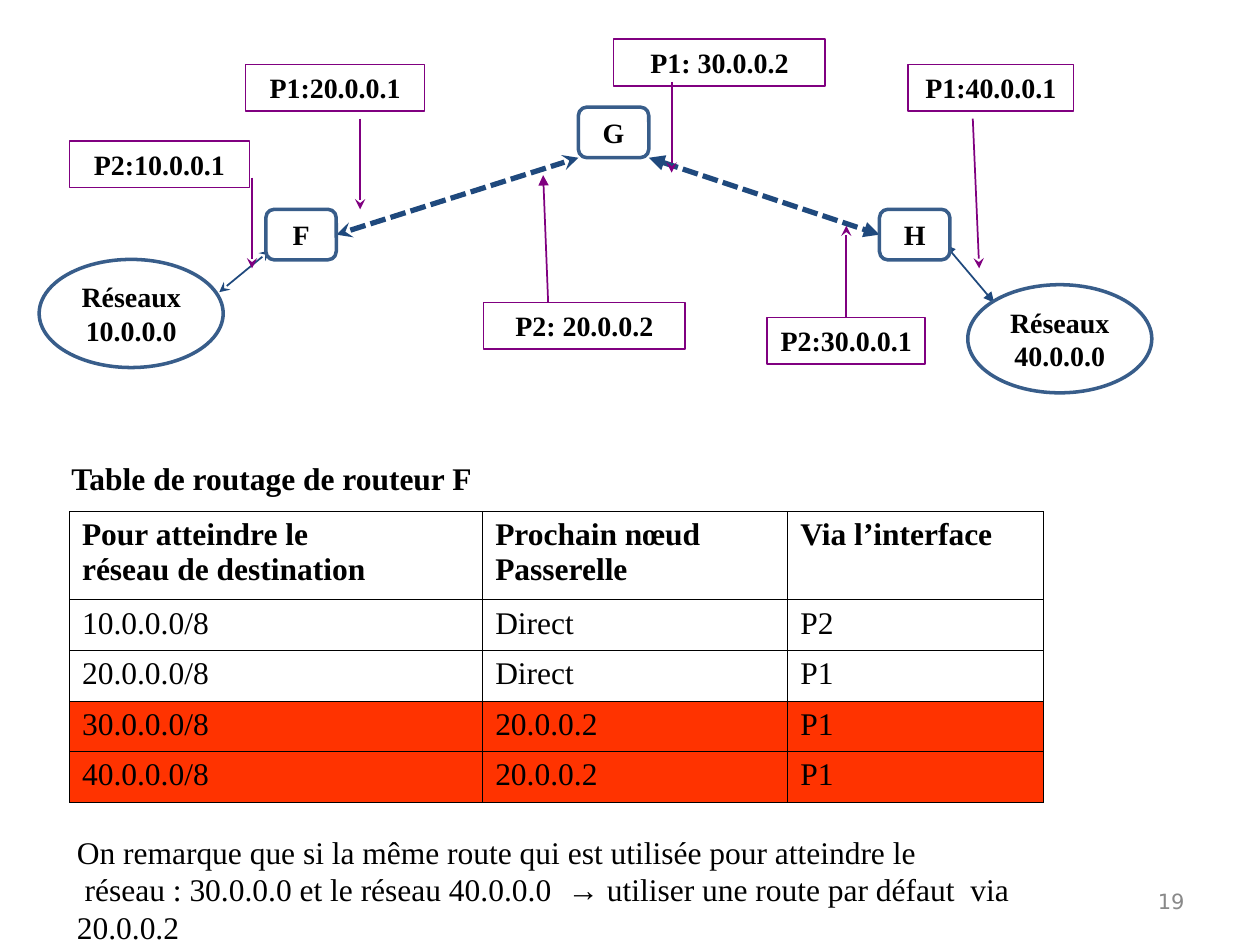
from lxml.etree import SubElement
from pptx import Presentation
from pptx.dml.color import RGBColor
from pptx.enum.dml import MSO_LINE
from pptx.enum.shapes import MSO_CONNECTOR, MSO_SHAPE
from pptx.enum.text import MSO_ANCHOR, MSO_AUTO_SIZE, PP_ALIGN
from pptx.oxml.ns import qn
from pptx.util import Cm, Pt

SERIF = "Times New Roman"
BLACK, WHITE, RED = "000000", "FFFFFF", "FF3300"
NAVY, STEEL, PURPLE, GREY = "1F497D", "385D8A", "800080", "898989"
PLAIN = {"name": SERIF, "size": Pt(18), "bold": False}
HEADING = {**PLAIN, "bold": True}
LABEL = {**HEADING, "size": Pt(16)}
NUMBER = {"name": "DejaVu Sans", "size": Pt(12), "bold": False}

NETWORKS = [("Réseaux 10.0.0.0", 0.79, 5.23), ("Réseaux 40.0.0.0", 19.51, 5.74)]
ROUTERS = [("F", 5.36, 4.22), ("G", 11.66, 2.16), ("H", 17.73, 4.22)]
INTERFACES = [
    ("P2:10.0.0.1", 1.4, 2.84, 3.63),
    ("P2: 20.0.0.2", 9.75, 6.1, 4.06),
    ("P2:30.0.0.1", 15.47, 6.4, 3.18),
    ("P1:20.0.0.1", 4.95, 1.3, 3.61),
    ("P1:40.0.0.1", 18.31, 1.3, 3.33),
    ("P1: 30.0.0.2", 12.37, 0.79, 4.27),
]
POINTERS = [
    ((11.05, 6.1), (10.95, 3.53), "triangle"),
    ((7.26, 2.39), (7.26, 4.22), "stealth"),
    ((13.54, 1.65), (13.54, 3.48), "stealth"),
    ((19.61, 2.39), (19.74, 5.41), "stealth"),
    ((5.08, 3.58), (5.08, 5.41), "stealth"),
]
ROUTES = [
    ("Pour atteindre le\nréseau de destination", "Prochain nœud Passerelle", "Via l’interface"),
    ("10.0.0.0/8", "Direct", "P2"),
    ("20.0.0.0/8", "Direct", "P1"),
    ("30.0.0.0/8", "20.0.0.2", "P1"),
    ("40.0.0.0/8", "20.0.0.2", "P1"),
]
REMARK = [
    [("On remarque que si la même route qui est utilisée pour atteindre le", SERIF)],
    [
        (" réseau : 30.0.0.0 et le réseau 40.0.0.0  ", SERIF),
        ("→", "Arial"),
        (" utiliser une route par défaut  via 20.0.0.2", SERIF),
    ],
]


def paint(color_format, value):
    """Set a colour from a hex string."""
    color_format.rgb = RGBColor.from_string(value)


def fill_solid(target, value):
    """Give a shape or cell a plain fill."""
    target.fill.solid()
    paint(target.fill.fore_color, value)


def style_font(font, values, color=BLACK):
    """Apply format values and a colour to a font."""
    for name, value in values.items():
        setattr(font, name, value)
    paint(font.color, color)


def write(frame, text, values, color=BLACK, align=PP_ALIGN.LEFT):
    """Write one paragraph per line of text."""
    frame.text = text
    for para in frame.paragraphs:
        para.alignment = align
        for span in para.runs:
            style_font(span.font, values, color)


def add_node(page, kind, text, place, color, width, fill=None):
    """Add an outlined shape with a centred label."""
    node = page.shapes.add_shape(kind, *map(Cm, place))
    node.shadow.inherit = False
    if fill:
        fill_solid(node, fill)
    else:
        node.fill.background()
    paint(node.line.color, color)
    node.line.width = Pt(width)
    frame = node.text_frame
    frame.word_wrap = True
    frame.vertical_anchor = MSO_ANCHOR.MIDDLE if fill else MSO_ANCHOR.TOP
    write(frame, text, LABEL, align=PP_ALIGN.CENTER)
    return node


def add_arrow(page, start, end, color, tip, both=False, width=1, dash=None):
    """Add a straight arrow pointing at its end, or both ways."""
    arrow = page.shapes.add_connector(MSO_CONNECTOR.STRAIGHT, *map(Cm, start + end))
    paint(arrow.line.color, color)
    arrow.line.width = Pt(width)
    if dash:
        arrow.line.dash_style = dash
    outline = arrow.line._get_or_add_ln()
    for tag in ("a:headEnd", "a:tailEnd") if both else ("a:tailEnd",):
        SubElement(outline, qn(tag), type=tip)
    SubElement(arrow._element.spPr, qn("a:effectLst"))
    return arrow


def add_text(page, place):
    """Add an unwrapped text box and return its frame."""
    frame = page.shapes.add_textbox(*map(Cm, place)).text_frame
    frame.word_wrap = False
    return frame


def border_cell(cell):
    """Draw thin black borders around a cell."""
    properties = cell._tc.get_or_add_tcPr()
    for index, side in enumerate(("lnL", "lnR", "lnT", "lnB")):
        edge = properties.makeelement(qn(f"a:{side}"), {"w": str(Pt(0.45))})
        fill = SubElement(edge, qn("a:solidFill"))
        SubElement(fill, qn("a:srgbClr"), val=BLACK)
        properties.insert(index, edge)


def add_routes(page):
    """Add the routing table of router F."""
    widths, heights = (8.33, 6.15, 5.16), (1.78, 1.02, 1.02, 1.02, 1.02)
    table = page.shapes.add_table(
        len(heights), len(widths), *map(Cm, (1.4, 10.31, sum(widths), sum(heights)))
    ).table
    table.first_row = table.horz_banding = False
    for column, width in zip(table.columns, widths):
        column.width = Cm(width)
    for index, (row, height, texts) in enumerate(zip(table.rows, heights, ROUTES)):
        row.height = Cm(height)
        for cell, text in zip(row.cells, texts):
            write(cell.text_frame, text, PLAIN if index else HEADING)
            fill_solid(cell, RED if index >= 3 else WHITE)
            border_cell(cell)


def add_network(page):
    """Add the routers, networks, interfaces and their links."""
    link = {"color": NAVY, "both": True}
    trunk = {**link, "width": 3, "dash": MSO_LINE.SQUARE_DOT}
    add_arrow(page, (4.42, 5.89), (5.44, 5.05), tip="stealth", **link)
    add_arrow(page, (19.05, 4.93), (20.04, 6.1), tip="triangle", **link)
    link_fg = add_arrow(page, (6.78, 4.73), (11.66, 3.18), tip="stealth", **trunk)
    link_gh = add_arrow(page, (13.08, 3.18), (17.73, 4.73), tip="triangle", **trunk)
    for start, end, tip in POINTERS:
        add_arrow(page, start, end, PURPLE, tip)
    pointer_h = add_arrow(page, (17.06, 6.4), (17.06, 4.55), PURPLE, "stealth")

    labels = {
        text: add_node(page, MSO_SHAPE.RECTANGLE, text, (left, top, width, 0.94), PURPLE, 1)
        for text, left, top, width in INTERFACES
    }
    routers = {
        text: add_node(page, MSO_SHAPE.ROUNDED_RECTANGLE, text,
                       (left, top, 1.42, 1.02), STEEL, 2, WHITE)
        for text, left, top in ROUTERS
    }
    for text, left, top in NETWORKS:
        add_node(page, MSO_SHAPE.OVAL, text, (left, top, 3.71, 2.18), STEEL, 2, WHITE)
    link_fg.begin_connect(routers["F"], 3)
    link_gh.end_connect(routers["H"], 1)
    pointer_h.begin_connect(labels["P2:30.0.0.1"], 0)


def add_remark(page):
    """Add the closing remark with its arrow sign."""
    frame = add_text(page, (1.3, 16.66, 21.51, 1.78))
    frame.auto_size = MSO_AUTO_SIZE.SHAPE_TO_FIT_TEXT
    for index, spans in enumerate(REMARK):
        para = frame.add_paragraph() if index else frame.paragraphs[0]
        for text, name in spans:
            span = para.add_run()
            span.text = text
            style_font(span.font, {**PLAIN, "name": name})


def main():
    """Build the slide and save it."""
    deck = Presentation()
    deck.slide_width, deck.slide_height = Cm(25.4), Cm(19.05)
    page = deck.slides.add_slide(deck.slide_layouts[6])
    add_routes(page)
    write(add_text(page, (1.19, 9.12, 8.66, 1.02)), "Table de routage de routeur F", HEADING)
    add_network(page)
    add_remark(page)
    number = add_text(page, (18.21, 17.65, 5.92, 1.02))
    number.word_wrap = True
    number.vertical_anchor = MSO_ANCHOR.MIDDLE
    write(number, "19", NUMBER, GREY, PP_ALIGN.RIGHT)
    deck.save("out.pptx")


if __name__ == "__main__":
    main()
